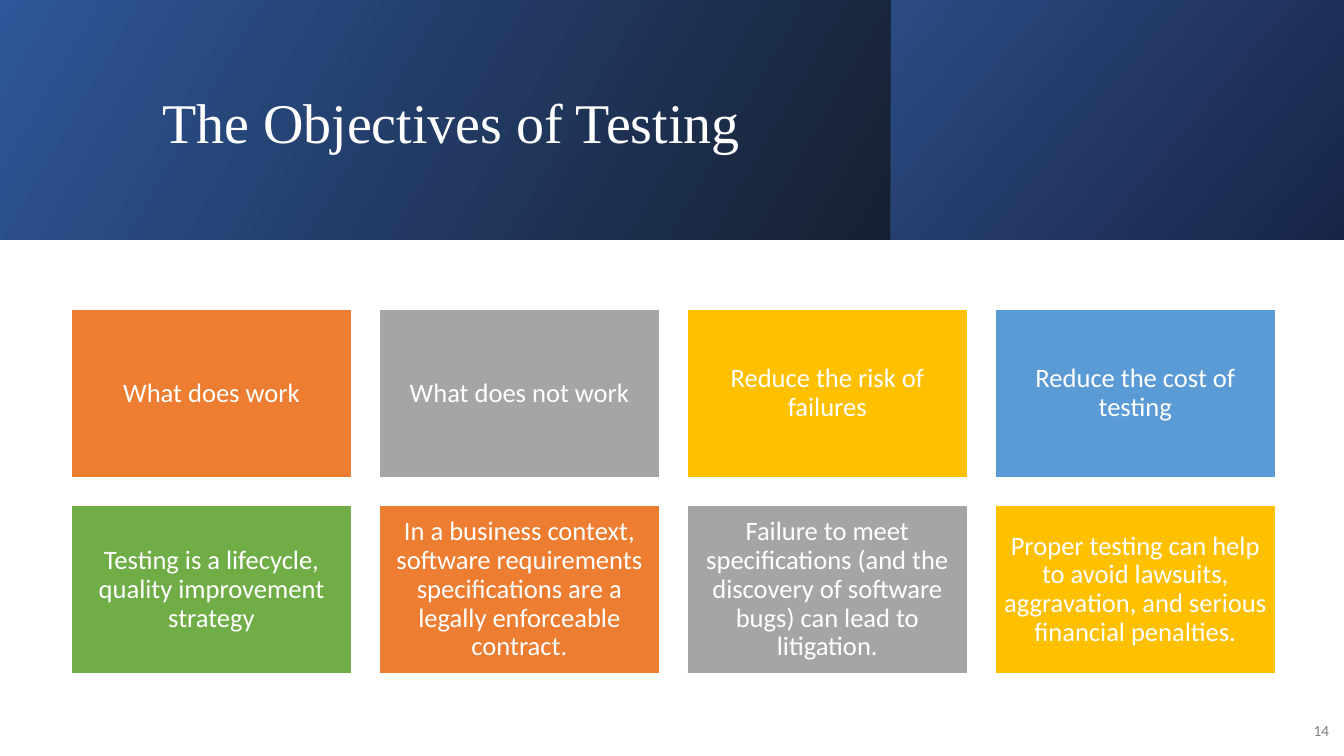
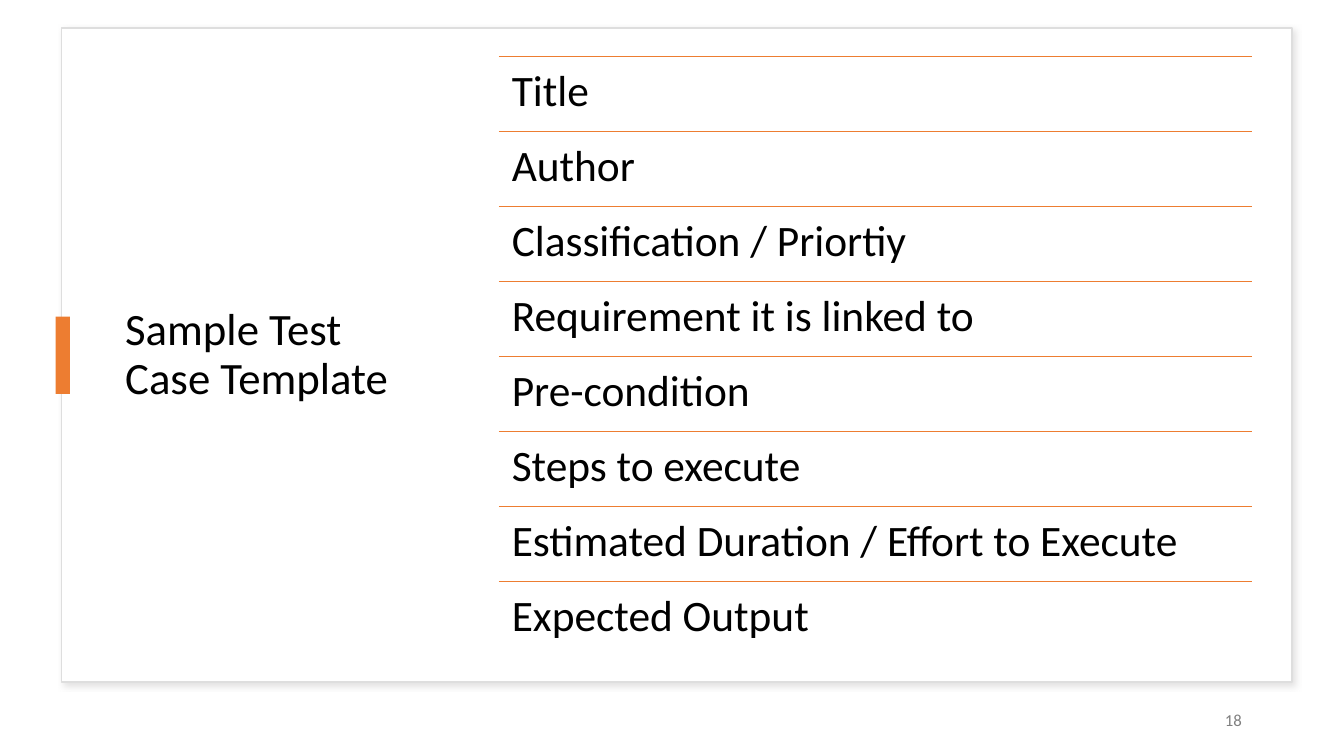
from lxml.etree import SubElement
from pptx import Presentation
from pptx.dml.color import RGBColor
from pptx.enum.shapes import MSO_CONNECTOR as CONN, MSO_SHAPE as SHAPE
from pptx.enum.text import MSO_ANCHOR as ANCHOR, MSO_AUTO_SIZE as AUTO, PP_ALIGN as ALIGN
from pptx.oxml.ns import qn
from pptx.util import Cm, Pt

# Shared colours and fonts
WHITE = RGBColor(0xFF, 0xFF, 0xFF)
BLACK = RGBColor(0, 0, 0)
GRAY = RGBColor(0x80, 0x80, 0x80)
FRAME = RGBColor(0xDE, 0xDE, 0xDE)
ORANGE = RGBColor(0xED, 0x7D, 0x31)
SILVER = RGBColor(0xA5, 0xA5, 0xA5)
GOLD = RGBColor(0xFF, 0xC0, 0x00)
SKY = RGBColor(0x5B, 0x9B, 0xD5)
GREEN = RGBColor(0x70, 0xAD, 0x47)
BAND = (RGBColor(0x2E, 0x56, 0x98), RGBColor(0x16, 0x20, 0x32))
PANEL = (RGBColor(0x2C, 0x4B, 0x82), RGBColor(0x18, 0x25, 0x48))
SANS, SERIF = "Calibri", "Times New Roman"

# Content
OBJECTIVES = [
    "What does work",
    "What does not work",
    "Reduce the risk of failures",
    "Reduce the cost of testing",
    "Testing is a lifecycle, quality improvement strategy",
    "In a business context, software requirements specifications are a "
    "legally enforceable contract.",
    "Failure to meet specifications (and the discovery of software bugs) "
    "can lead to litigation.",
    "Proper testing can help to avoid lawsuits, aggravation, and serious "
    "financial penalties.",
]
CARD_COLORS = [ORANGE, SILVER, GOLD, SKY, GREEN]
FIELDS = ["Title", "Author", "Classification / Priortiy",
          "Requirement it is linked to", "Pre-condition", "Steps to execute",
          "Estimated Duration / Effort to Execute", "Expected Output"]


def cm(*values):
    return [Cm(v) for v in values]


def write(sp, text, size, color, font=SANS, align=ALIGN.LEFT,
          anchor=ANCHOR.MIDDLE, inset=None):
    tf = sp.text_frame
    tf.word_wrap = True
    tf.auto_size = AUTO.NONE
    tf.vertical_anchor = anchor
    if inset is not None:
        tf.margin_left = tf.margin_right = Cm(inset)
        tf.margin_top = tf.margin_bottom = Cm(inset)
    p = tf.paragraphs[0]
    p.alignment = align
    p.line_spacing = 0.9
    r = p.add_run()
    r.text = text
    r.font.name, r.font.size, r.font.color.rgb = font, Pt(size), color


def add_title(s, text, box, **fmt):
    sp = s.shapes.title
    sp.left, sp.top, sp.width, sp.height = cm(*box)
    write(sp, text, **fmt)


def add_text(s, text, box, **fmt):
    write(s.shapes.add_textbox(*cm(*box)), text, **fmt)


def add_number(s, number, box, size):
    add_text(s, str(number), box, size=size, color=GRAY, align=ALIGN.RIGHT)


def add_rect(s, box, fill, line=None):
    sp = s.shapes.add_shape(SHAPE.RECTANGLE, *cm(*box))
    sp.shadow.inherit = False
    sp.fill.solid()
    sp.fill.fore_color.rgb = fill
    if line is None:
        sp.line.fill.background()
    else:
        sp.line.color.rgb = line
        sp.line.width = Pt(1)
    return sp


def add_gradient(s, box, colors, angle):
    fill = add_rect(s, box, colors[0]).fill
    fill.gradient()
    fill.gradient_angle = angle
    for stop, color, position in zip(fill.gradient_stops, colors, (0, 1)):
        stop.color.rgb = color
        stop.position = position


def add_rule(s, left, y, width):
    line = s.shapes.add_connector(CONN.STRAIGHT, *cm(left, y, left + width, y))
    line.line.color.rgb = ORANGE
    line.line.width = Pt(1)
    SubElement(line._element.spPr, qn("a:effectLst"))


def soften(sp):
    """Give a shape a faint shadow to the lower right."""
    effects = sp._element.spPr.find(qn("a:effectLst"))
    shadow = SubElement(effects, qn("a:outerShdw"), blurRad=str(Pt(4)),
                        dist=str(Pt(3)), dir=str(45 * 60000))
    color = SubElement(shadow, qn("a:srgbClr"), val="C5C3C3")
    SubElement(color, qn("a:alpha"), val="50000")


def objectives_slide(prs, layout):
    s = prs.slides.add_slide(layout)
    # Header band
    add_gradient(s, (0, 0, 22.45, 6.03), BAND, 330)
    add_gradient(s, (22.45, 0, 11.42, 6.03), PANEL, 320)
    title = s.shapes.title._element
    title.getparent().append(title)  # bring the title in front of the band
    add_title(s, "The Objectives of Testing", (3.84, 0.97, 27, 4.37),
              size=40, color=WHITE, font=SERIF)
    add_number(s, 14, (32.51, 17.93, 1.24, 1.02), 11)
    # Cards, four to a row
    width, height, gap = 7.06, 4.24, 0.7
    for i, text in enumerate(OBJECTIVES):
        row, col = divmod(i, 4)
        box = (1.8 + col * (width + gap), 7.8 + row * (height + gap), width, height)
        card = add_rect(s, box, CARD_COLORS[i % len(CARD_COLORS)], WHITE)
        write(card, text, 19, WHITE, align=ALIGN.CENTER, inset=0.19)


def template_slide(prs, layout):
    s = prs.slides.add_slide(layout)
    # Framed page with accent mark
    frame = add_rect(s, (1.55, 0.71, 31.01, 16.48), WHITE, FRAME)
    soften(frame)
    add_rect(s, (1.4, 7.98, 0.36, 1.95), ORANGE)
    title = s.shapes.title._element
    title.getparent().append(title)  # bring the title in front of the frame
    add_title(s, "Sample Test Case Template", (2.9, 1.4, 8.31, 15.11),
              size=32, color=BLACK)
    add_number(s, 18, (23.93, 17.65, 7.62, 1.02), 12)
    # Ruled list of fields
    left, top, width, pitch = 12.57, 1.42, 18.97, 1.89
    for i, field in enumerate(FIELDS):
        y = top + i * pitch
        add_rule(s, left, y, width)
        add_text(s, field, (left, y, width, pitch), size=31, color=BLACK,
                 anchor=ANCHOR.TOP, inset=0.33)


def main():
    prs = Presentation()
    prs.slide_width, prs.slide_height = cm(33.87, 19.05)
    title_only = prs.slide_layouts[5]
    objectives_slide(prs, title_only)
    template_slide(prs, title_only)
    prs.save("out.pptx")


if __name__ == "__main__":
    main()
